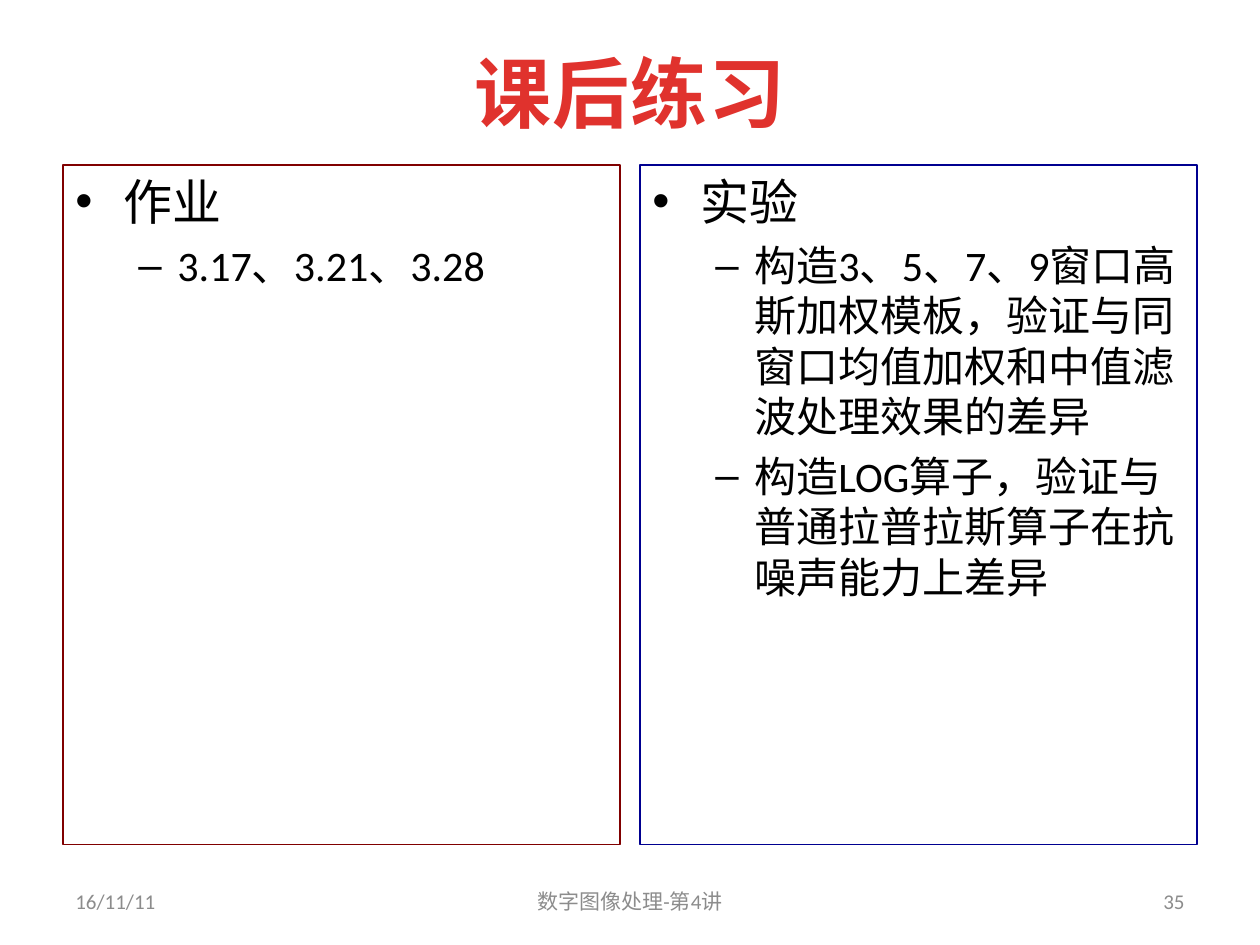
import pptx
import pptx.dml.color
import pptx.enum.shapes
import pptx.enum.text
import pptx.util
from lxml import etree

Inches, Pt = pptx.util.Inches, pptx.util.Pt
ALIGN = pptx.enum.text.PP_ALIGN
ANCHOR = pptx.enum.text.MSO_ANCHOR

WIDTH, HEIGHT = 10, 7.5
MARGIN = 0.05 * WIDTH
CONTENT = WIDTH - 2 * MARGIN
GUTTER = 0.16
BULLETS = [("•", 0.38, 0.38, 28), ("–", 0.81, 0.31, 24)]

EXERCISES = [
    ("800000", [(0, "作业"), (1, "3.17、3.21、3.28")]),
    ("000090", [
        (0, "实验"),
        (1, "构造3、5、7、9窗口高斯加权模板，验证与同窗口均值加权和中值滤波处理效果的差异"),
        (1, "构造LOG算子，验证与普通拉普拉斯算子在抗噪声能力上差异"),
    ]),
]


def color(hex_code):
    """Turn a hex string into a colour."""
    return pptx.dml.color.RGBColor.from_string(hex_code)


def style(paragraph, size, hex_code, bold=False):
    """Set the font of a whole paragraph."""
    font = paragraph.font
    font.name, font.size, font.bold = "Calibri", Pt(size), bold
    font.color.rgb = color(hex_code)


def add_bullet(paragraph, level):
    """Give a paragraph the bullet and hanging indent of its level."""
    mark, left, hanging, _ = BULLETS[level]
    paragraph.level = level
    properties = paragraph._p.get_or_add_pPr()
    properties.set("marL", str(Inches(left)))
    properties.set("indent", str(-Inches(hanging)))
    for tag, attribute, value in (("a:buFont", "typeface", "Arial"), ("a:buChar", "char", mark)):
        etree.SubElement(properties, pptx.oxml.ns.qn(tag)).set(attribute, value)


def add_line(slide, box, text, align, size, hex_code, bold=False):
    """Place one vertically centred line of text and return its paragraph."""
    frame = slide.shapes.add_textbox(*map(Inches, box)).text_frame
    frame.word_wrap = True
    frame.vertical_anchor = ANCHOR.MIDDLE
    paragraph = frame.paragraphs[0]
    paragraph.text, paragraph.alignment = text, align
    style(paragraph, size, hex_code, bold)
    return paragraph


def add_title(slide, box):
    """Place the slightly letterspaced heading."""
    heading = add_line(slide, box, "课后练习", ALIGN.CENTER, 44, "E0322D", True)
    heading.runs[0]._r.get_or_add_rPr().set("spc", "50")


def add_panel(slide, box, border, items):
    """Place an outlined panel with a two-level bullet list."""
    panel = slide.shapes.add_shape(pptx.enum.shapes.MSO_SHAPE.RECTANGLE, *map(Inches, box))
    panel.shadow.inherit = False
    panel.fill.background()
    panel.line.color.rgb = color(border)
    panel.line.width = Pt(0.75)
    frame = panel.text_frame
    frame.word_wrap = True
    frame.vertical_anchor = ANCHOR.TOP
    for index, (level, text) in enumerate(items):
        paragraph = frame.add_paragraph() if index else frame.paragraphs[0]
        paragraph.text, paragraph.alignment = text, ALIGN.LEFT
        add_bullet(paragraph, level)
        if index:
            paragraph.space_before = Pt(5.3)
        style(paragraph, BULLETS[level][3], "000000")


def add_panels(slide, box):
    """Share a box equally between the exercise panels."""
    left, top, width, height = box
    panel_width = (width - GUTTER) / 2
    for column, (border, items) in enumerate(EXERCISES):
        panel_left = left + column * (panel_width + GUTTER)
        add_panel(slide, (panel_left, top, panel_width, height), border, items)


def add_footer(slide, box):
    """Place date, lecture and page number at left, centre and right."""
    left, top, width, height = box
    parts = [
        ("16/11/11", ALIGN.LEFT, 2.33, 0),
        ("数字图像处理-第4讲", ALIGN.CENTER, 3.17, 0.5),
        ("35", ALIGN.RIGHT, 2.33, 1),
    ]
    for text, align, part_width, share in parts:
        part_left = left + share * (width - part_width)
        add_line(slide, (part_left, top, part_width, height), text, align, 12, "8C8C8C")


def main():
    """Build and save the slide."""
    deck = pptx.Presentation()
    deck.slide_width, deck.slide_height = Inches(WIDTH), Inches(HEIGHT)
    slide = deck.slides.add_slide(deck.slide_layouts[6])
    add_title(slide, (MARGIN, 0.04 * HEIGHT, CONTENT, 0.85))
    add_panels(slide, (MARGIN, 1.31, CONTENT, 5.39))
    add_footer(slide, (MARGIN, 6.95, CONTENT, 0.4))
    deck.save("out.pptx")


if __name__ == "__main__":
    main()
